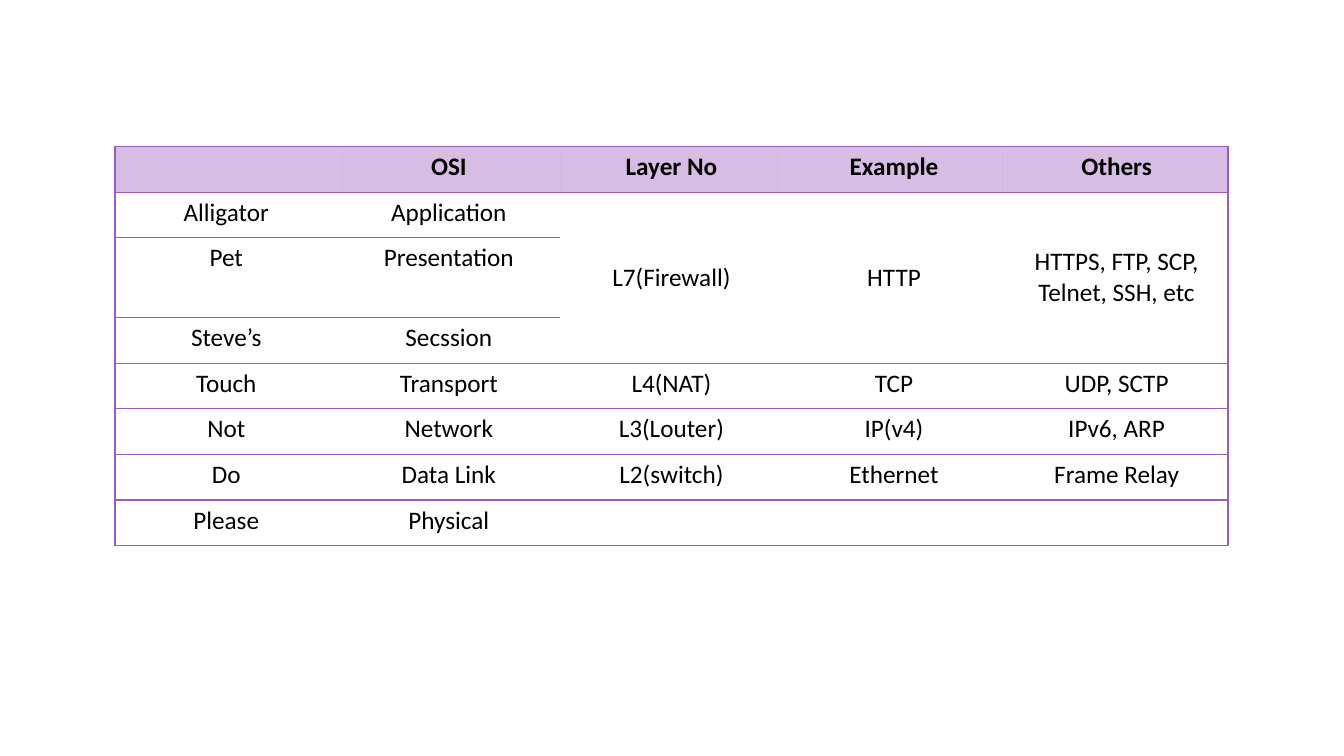
import pptx
import pptx.util
import pptx.dml.color
import pptx.enum.text
import pptx.oxml.ns
import lxml.etree

PURPLE = pptx.dml.color.RGBColor(0x9E, 0x5A, 0xBD)
LILAC = pptx.dml.color.RGBColor(0x9D, 0x5C, 0xBB)
BLACK = pptx.dml.color.RGBColor(0, 0, 0)
PLAIN = "{2D5ABB26-0587-4C30-8999-92F81FD0307C}"
qn = pptx.oxml.ns.qn

ROWS = [
    ["", "OSI", "Layer No", "Example", "Others"],
    ["Alligator", "Application", "L7(Firewall)", "HTTP",
     "HTTPS, FTP, SCP, Telnet, SSH, etc"],
    ["Pet", "Presentation", "", "", ""],
    ["Steve’s", "Secssion", "", "", ""],
    ["Touch", "Transport", "L4(NAT)", "TCP", "UDP, SCTP"],
    ["Not", "Network", "L3(Louter)", "IP(v4)", "IPv6, ARP"],
    ["Do", "Data Link", "L2(switch)", "Ethernet", "Frame Relay"],
    ["Please", "Physical", "", "", ""],
]
HIGH = [87, 87, 152, 87, 87, 87, 87, 87]
MERGED = (2, 3, 4)


def px(n):
    """Turn px, 192 to the inch, into EMU."""
    return pptx.util.Inches(n / 192)


def write(cell, text, size=18, bold=False, color=BLACK, font="Calibri"):
    para = cell.text_frame.paragraphs[0]
    para.alignment = pptx.enum.text.PP_ALIGN.CENTER
    style = para.font
    if text:
        run = para.add_run()
        run.text = text
        style = run.font
    style.size = pptx.util.Pt(size)
    style.bold = bold
    style.name = font
    style.color.rgb = color


def edge(cell, sides):
    """Draw purple lines on the given sides, named in the order L, R, T, B."""
    props = cell._tc.get_or_add_tcPr()
    for side in sides:
        line = lxml.etree.SubElement(props, qn("a:ln" + side), w="12700")
        fill = lxml.etree.SubElement(line, qn("a:solidFill"))
        lxml.etree.SubElement(fill, qn("a:srgbClr"), val=str(PURPLE))


def tint(cell, color, alpha):
    cell.fill.solid()
    cell.fill.fore_color.rgb = color
    tone = cell._tc.tcPr.find(qn("a:solidFill"))[0]
    lxml.etree.SubElement(tone, qn("a:alpha"), val=str(alpha * 1000))


def grid(slide, left, top, width):
    """Place the table of network layers."""
    count = len(ROWS[0])
    frame = slide.shapes.add_table(len(ROWS), count, px(left), px(top),
                                   px(width), px(sum(HIGH)))
    table = frame.table
    table.horz_banding = False
    table._tbl.tblPr.find(qn("a:tableStyleId")).text = PLAIN
    for col in table.columns:
        col.width = px(width // count)
    for row, high in zip(table.rows, HIGH):
        row.height = px(high)
    for c in MERGED:
        table.cell(1, c).merge(table.cell(3, c))
    for r, words in enumerate(ROWS):
        for c, text in enumerate(words):
            cell = table.cell(r, c)
            sides = "L" * (c == 0) + "R" * (c == count - 1)
            edge(cell, sides + ("" if cell.is_spanned else "TB"))
            if r == 0:
                tint(cell, LILAC, 40)
            else:
                cell.fill.background()
            if cell.is_merge_origin:
                cell.vertical_anchor = pptx.enum.text.MSO_ANCHOR.MIDDLE
            write(cell, text, bold=r == 0)


def main():
    deck = pptx.Presentation()
    deck.slide_width, deck.slide_height = px(2560), px(1440)
    slide = deck.slides.add_slide(deck.slide_layouts[6])
    grid(slide, 219, 279, 2120)
    deck.save("out.pptx")


if __name__ == "__main__":
    main()
